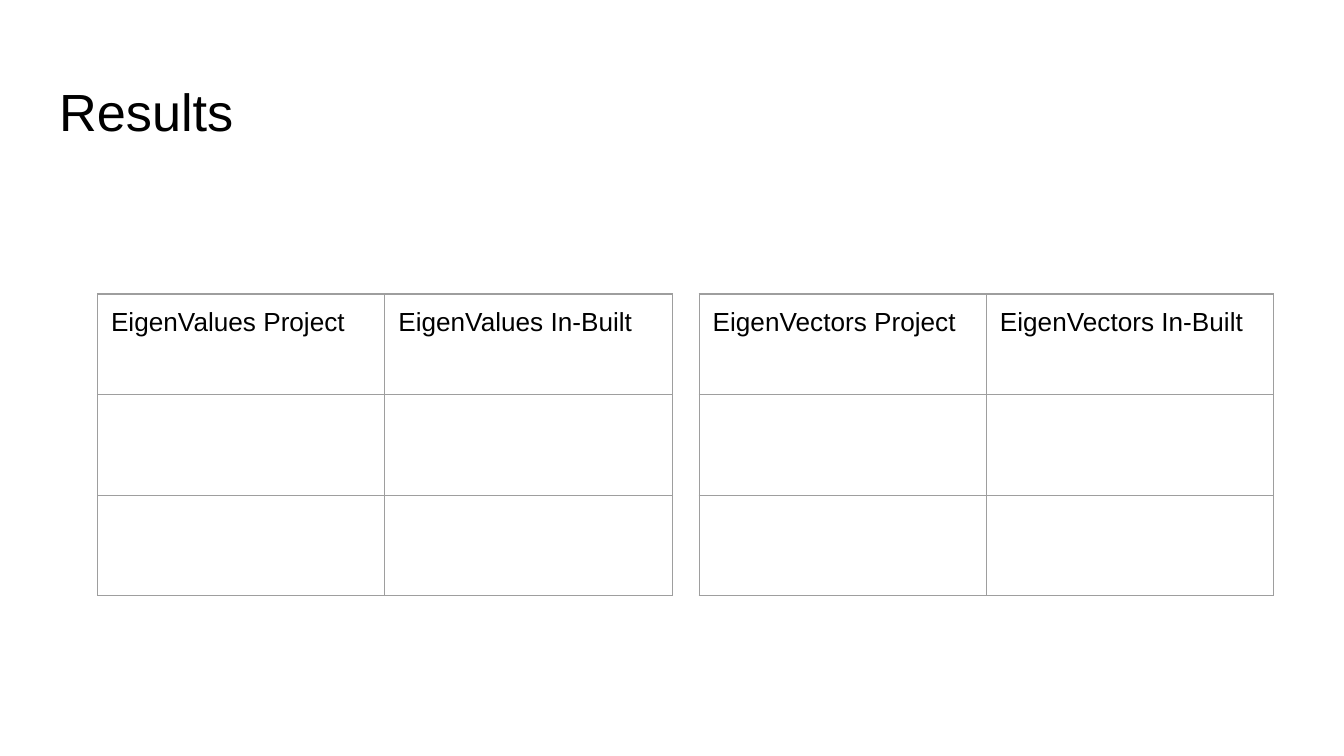
from dataclasses import dataclass

from lxml.etree import SubElement
from pptx import Presentation
from pptx.dml.color import RGBColor
from pptx.enum.text import MSO_ANCHOR, MSO_AUTO_SIZE, PP_ALIGN
from pptx.oxml.ns import qn
from pptx.util import Pt


@dataclass(frozen=True)
class Theme:
    font: str = "Arial"
    text: str = "000000"
    border: str = "9E9E9E"
    title_size: float = 28
    cell_size: float = 14
    border_width: float = 0.75
    inset: float = 7.2


THEME = Theme()
TITLE_ONLY = 5
TABLE_TOP = 157.5
COLUMN_WIDTH = 153.9
ROW_HEIGHT = 53.9
ROW_COUNT = 3
TABLES = (
    (52.3, ("EigenValues Project", "EigenValues In-Built")),
    (374.6, ("EigenVectors Project", "EigenVectors In-Built")),
)


def set_insets(target):
    for side in ("left", "top", "right", "bottom"):
        setattr(target, f"margin_{side}", Pt(THEME.inset))


def style_paragraph(para, size):
    para.alignment = PP_ALIGN.LEFT
    para.font.name = THEME.font
    para.font.size = Pt(size)
    para.font.color.rgb = RGBColor.from_string(THEME.text)


def add_title(page, text):
    title = page.shapes.title
    title.left, title.top, title.width, title.height = map(Pt, (24.5, 35, 671, 45))
    frame = title.text_frame
    frame.text = text
    frame.word_wrap = True
    frame.auto_size = MSO_AUTO_SIZE.NONE
    frame.vertical_anchor = MSO_ANCHOR.TOP
    set_insets(frame)
    style_paragraph(frame.paragraphs[0], THEME.title_size)
    frame.paragraphs[0].line_spacing = 1.0


def add_borders(cell):
    properties = cell._tc.get_or_add_tcPr()
    for position, side in enumerate(("lnL", "lnR", "lnT", "lnB")):
        line = properties.makeelement(qn(f"a:{side}"), {"w": str(Pt(THEME.border_width))})
        fill = SubElement(line, qn("a:solidFill"))
        SubElement(fill, qn("a:srgbClr"), val=THEME.border)
        properties.insert(position, line)


def add_results_table(page, left, headings):
    count = len(headings)
    table = page.shapes.add_table(
        ROW_COUNT, count, Pt(left), Pt(TABLE_TOP),
        Pt(COLUMN_WIDTH * count), Pt(ROW_HEIGHT * ROW_COUNT),
    ).table
    table.horz_banding = False
    table.first_row = False
    for column in table.columns:
        column.width = Pt(COLUMN_WIDTH)
    for row in table.rows:
        row.height = Pt(ROW_HEIGHT)
    for cell in table.iter_cells():
        cell.fill.background()
        set_insets(cell)
        add_borders(cell)
        style_paragraph(cell.text_frame.paragraphs[0], THEME.cell_size)
    for cell, heading in zip(table.rows[0].cells, headings):
        cell.text_frame.paragraphs[0].add_run().text = heading


def main():
    deck = Presentation()
    deck.slide_width, deck.slide_height = Pt(720), Pt(405)
    page = deck.slides.add_slide(deck.slide_layouts[TITLE_ONLY])
    add_title(page, "Results")
    for left, headings in TABLES:
        add_results_table(page, left, headings)
    deck.save("out.pptx")


main()
